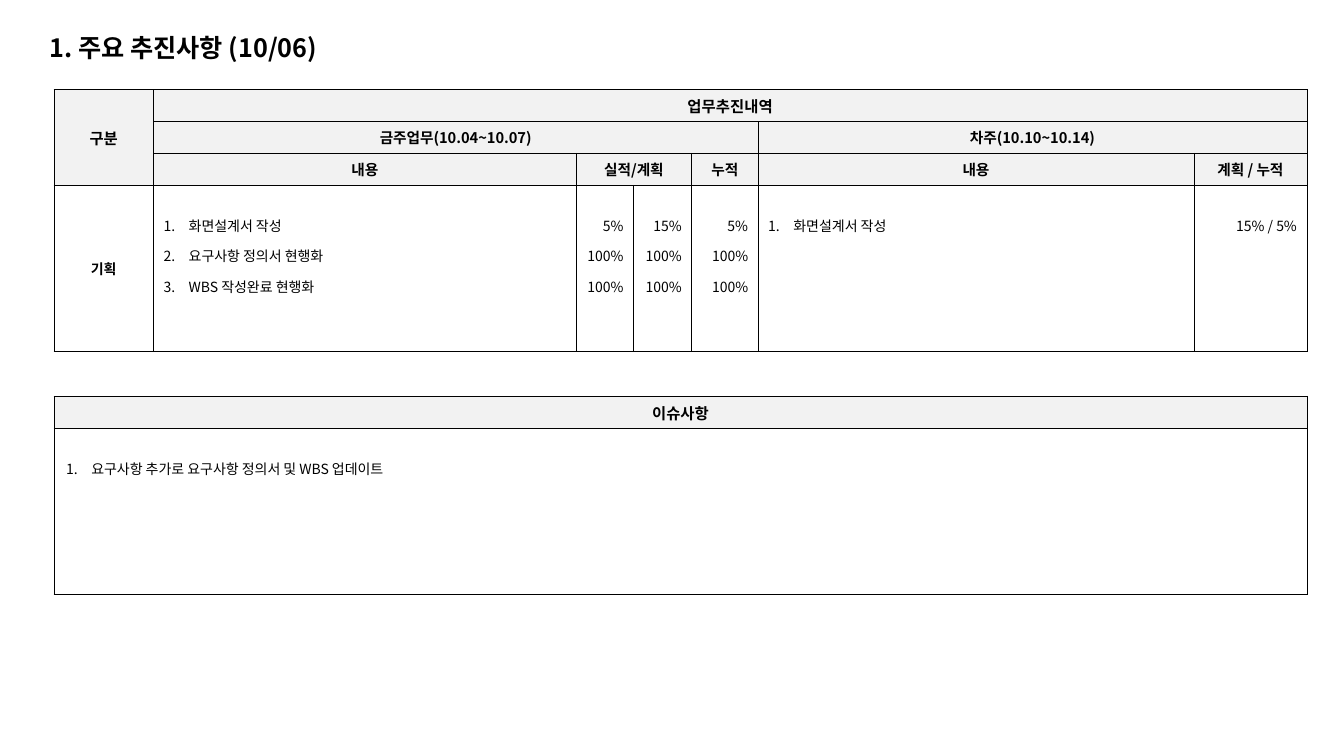
from pptx import Presentation
from pptx.dml.color import RGBColor
from pptx.enum.text import MSO_ANCHOR as ANCHOR, PP_ALIGN as ALIGN
from pptx.oxml.ns import qn
from pptx.util import Pt
from lxml import etree

FONT = "Noto Sans CJK KR"
BLACK = RGBColor(0x00, 0x00, 0x00)
GRAY = RGBColor(0xF2, 0xF2, 0xF2)
BORDER = 0.5
LEFT = 38.6
HEAD_H, BODY_H = 22.8, 118.8

TITLE = "1. 주요 추진사항 (10/06)"

WORK_TOP = 63.9
WORK_COLS = [71, 302, 41, 41.5, 47.5, 311.3, 80.7]
WORK_HEADS = [
    # row, column, rows, columns, text, size
    (0, 0, 3, 1, "구분", 11),
    (0, 1, 1, 6, "업무추진내역", 11),
    (1, 1, 1, 4, "금주업무(10.04~10.07)", 10.5),
    (1, 5, 1, 2, "차주(10.10~10.14)", 10.5),
    (2, 1, 1, 1, "내용", 10.5),
    (2, 2, 1, 2, "실적/계획", 10.5),
    (2, 4, 1, 1, "누적", 10.5),
    (2, 5, 1, 1, "내용", 10.5),
    (2, 6, 1, 1, "계획 / 누적", 10.5),
]
WORK_GROUP = "기획"
WORK_BODY = [
    ["화면설계서 작성", "요구사항 정의서 현행화", "WBS 작성완료 현행화"],
    ["5%", "100%", "100%"],
    ["15%", "100%", "100%"],
    ["5%", "100%", "100%"],
    ["화면설계서 작성"],
    ["15% / 5%"],
]
WORK_NUMBERED = (1, 5)

ISSUE_TOP = 283
ISSUE_HEAD = "이슈사항"
ISSUES = ["요구사항 추가로 요구사항 정의서 및 WBS 업데이트"]


def write(tf, lines, size=10, bold=False, align=ALIGN.LEFT, spacing=None, numbered=False):
    for i, line in enumerate(lines):
        p = tf.paragraphs[0] if i == 0 else tf.add_paragraph()
        p.alignment = align
        if spacing:
            p.line_spacing = spacing
        if numbered:
            pPr = p._p.get_or_add_pPr()
            pPr.set("marL", str(Pt(18)))
            pPr.set("indent", str(-Pt(18)))
            etree.SubElement(pPr, qn("a:buFont"), typeface="+mj-lt")
            etree.SubElement(pPr, qn("a:buAutoNum"), type="arabicPeriod")
        r = p.add_run()
        r.text = line
        r.font.size, r.font.bold, r.font.name = Pt(size), bold, FONT
        r.font.color.rgb = BLACK
        latin = r._r.rPr.find(qn("a:latin"))
        latin.addnext(latin.makeelement(qn("a:ea"), {"typeface": FONT}))


def add_table(s, top, cols, rows):
    table = s.shapes.add_table(len(rows), len(cols), Pt(LEFT), Pt(top),
                               Pt(sum(cols)), Pt(sum(rows))).table
    table.first_row = table.horz_banding = False
    for column, width in zip(table.columns, cols):
        column.width = Pt(width)
    for row, height in zip(table.rows, rows):
        row.height = Pt(height)
    for cell in table.iter_cells():
        cell.fill.background()
        tcPr = cell._tc.get_or_add_tcPr()
        for i, side in enumerate("LRTB"):
            ln = tcPr.makeelement(qn("a:ln" + side), {"w": str(Pt(BORDER))})
            fill = etree.SubElement(ln, qn("a:solidFill"))
            etree.SubElement(fill, qn("a:srgbClr"), val=str(BLACK))
            tcPr.insert(i, ln)
    return table


def head_cell(cell, text, size, filled=True):
    if filled:
        cell.fill.solid()
        cell.fill.fore_color.rgb = GRAY
    cell.vertical_anchor = ANCHOR.MIDDLE
    write(cell.text_frame, [text], size=size, bold=True, align=ALIGN.CENTER)


def body_cell(cell, lines, numbered, left=7.2):
    cell.margin_left = Pt(left if numbered else 5)
    cell.margin_right = Pt(7.2)
    cell.margin_top, cell.margin_bottom = Pt(14.4), Pt(3.6)
    write(cell.text_frame, lines, spacing=1.5, numbered=numbered,
          align=ALIGN.LEFT if numbered else ALIGN.RIGHT)


def main():
    prs = Presentation()
    prs.slide_width, prs.slide_height = Pt(960), Pt(540)
    s = prs.slides.add_slide(prs.slide_layouts[6])

    tf = s.shapes.add_textbox(Pt(28.3), Pt(17.5), Pt(738), Pt(33)).text_frame
    tf.word_wrap = True
    tf.vertical_anchor = ANCHOR.MIDDLE
    write(tf, [TITLE], size=18, bold=True)

    work = add_table(s, WORK_TOP, WORK_COLS, [HEAD_H] * 3 + [BODY_H])
    for row, col, rows, cols, text, size in WORK_HEADS:
        cell = work.cell(row, col)
        if rows * cols > 1:
            cell.merge(work.cell(row + rows - 1, col + cols - 1))
        head_cell(cell, text, size)
    head_cell(work.cell(3, 0), WORK_GROUP, 10, filled=False)
    for col, lines in enumerate(WORK_BODY, 1):
        body_cell(work.cell(3, col), lines, col in WORK_NUMBERED)

    issue = add_table(s, ISSUE_TOP, [sum(WORK_COLS)], [HEAD_H, BODY_H])
    head_cell(issue.cell(0, 0), ISSUE_HEAD, 11)
    body_cell(issue.cell(1, 0), ISSUES, True, left=8.6)

    prs.save("out.pptx")


if __name__ == "__main__":
    main()
